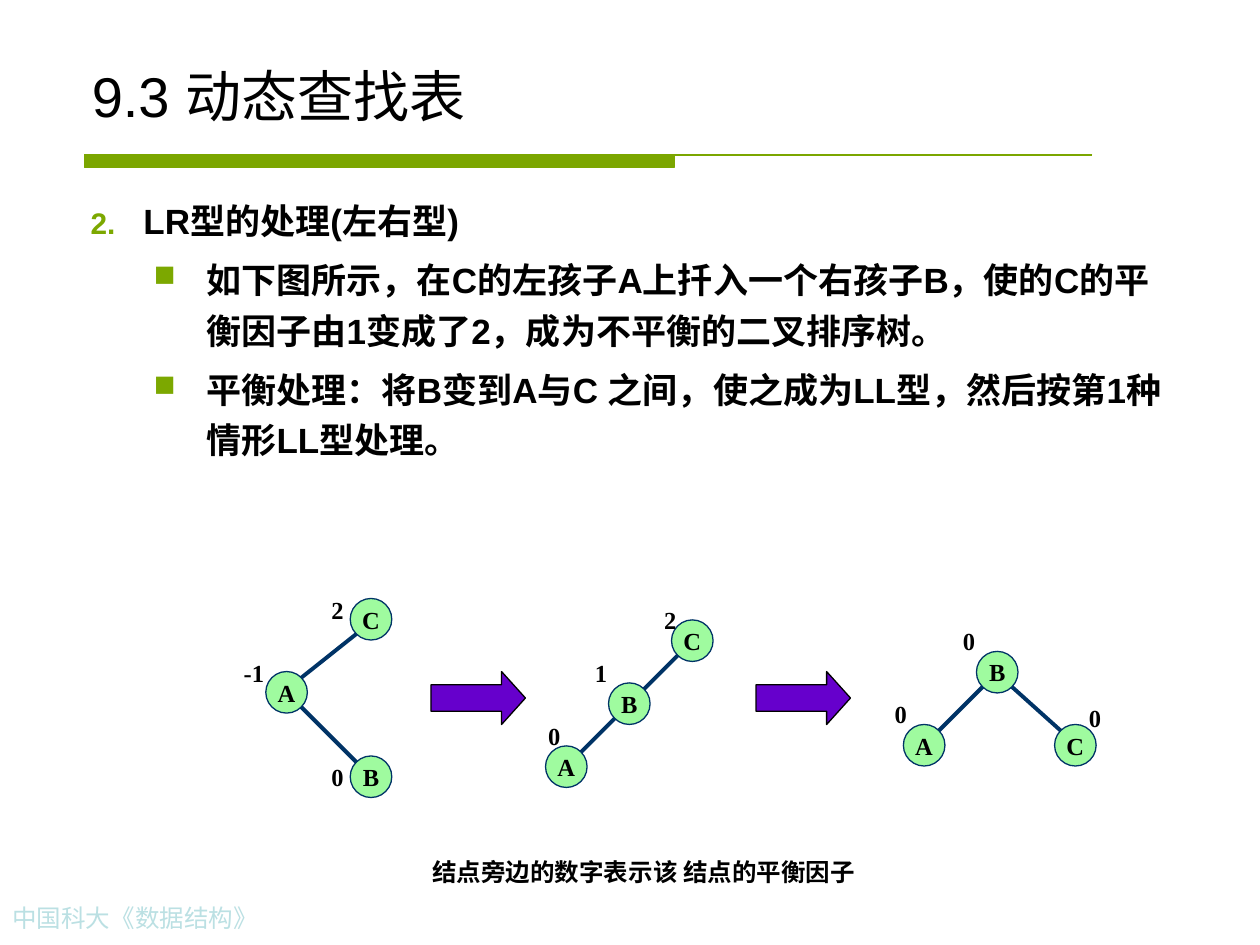
from lxml import etree
from pptx import Presentation
from pptx.dml.color import RGBColor
from pptx.enum.shapes import MSO_CONNECTOR, MSO_SHAPE
from pptx.enum.text import MSO_ANCHOR, MSO_AUTO_SIZE, PP_ALIGN
from pptx.oxml.ns import qn
from pptx.util import Inches, Pt

LEFT, CENTER = PP_ALIGN.LEFT, PP_ALIGN.CENTER
TOP, MIDDLE, BOTTOM = MSO_ANCHOR.TOP, MSO_ANCHOR.MIDDLE, MSO_ANCHOR.BOTTOM
GROW = MSO_AUTO_SIZE.SHAPE_TO_FIT_TEXT
OVAL, ARROW = MSO_SHAPE.OVAL, MSO_SHAPE.RIGHT_ARROW
STRAIGHT = MSO_CONNECTOR.STRAIGHT

BLACK, NAVY, MINT, PURPLE = "000000", "003366", "9FFB9F", "6600CC"
RULE_GREEN, BULLET_GREEN, PALE_BLUE = "7BA600", "7CA800", "BBE0E3"
SANS, SERIF = "Arial", "Times New Roman"
NODE_SIZE = 0.33
NODE_INSET = 0.05
DIGIT_BOX, SIGN_WIDTH, LABEL_HEIGHT = 0.3, 0.07, 0.34

BODY = [
    (0, "LR型的处理(左右型)"),
    (1, "如下图所示，在C的左孩子A上扦入一个右孩子B，使的C的平衡因子由1变成了2，成为不平衡的二叉排序树。"),
    (1, "平衡处理：将B变到A与C 之间，使之成为LL型，然后按第1种情形LL型处理。"),
]

# Each node: offset in its tree, balance factor, offset of the factor.
TREES = [
    ((1.83, 4.67),
     {"C": ((0.95, 0.08), "2", (0.7, 0)),
      "A": ((0.28, 0.66), "-1", (0, 0.5)),
      "B": ((0.95, 1.33), "0", (0.7, 1.33))},
     ["CA", "AB"]),
    ((4.25, 4.75),
     {"C": ((1.08, 0.17), "2", (0.92, 0)),
      "B": ((0.58, 0.67), "1", (0.37, 0.42)),
      "A": ((0.08, 1.17), "0", (0, 0.92))},
     ["CB", "BA"]),
    ((7, 4.92),
     {"B": ((0.75, 0.25), "0", (0.54, 0)),
      "A": ((0.17, 0.83), "0", (0, 0.58)),
      "C": ((1.37, 0.83), "0", (1.54, 0.61))},
     ["BA", "BC"]),
]


def rgb(value):
    """Turn a hex string into a colour."""
    return RGBColor.from_string(value)


def paint(shape, fill, line):
    """Give a shape a flat fill and a thin outline."""
    shape.shadow.inherit = False
    shape.fill.solid()
    shape.fill.fore_color.rgb = rgb(fill)
    shape.line.color.rgb = rgb(line)
    shape.line.width = Pt(0.75)


def add_run(paragraph, text, size, font, color=BLACK, bold=False):
    """Append one formatted run."""
    run = paragraph.add_run()
    run.text = text
    run.font.size = Pt(size)
    run.font.name = font
    run.font.bold = bold
    run.font.color.rgb = rgb(color)


def add_frame(slide, box, anchor=TOP, wrap=True):
    """Place a text box and return its text frame."""
    frame = slide.shapes.add_textbox(*map(Inches, box)).text_frame
    frame.word_wrap = wrap
    frame.vertical_anchor = anchor
    return frame


def add_label(slide, box, text, align=CENTER, color=BLACK, bold=True):
    """Place a single line of small serif text."""
    frame = add_frame(slide, box, wrap=False)
    frame.auto_size = GROW
    paragraph = frame.paragraphs[0]
    paragraph.alignment = align
    add_run(paragraph, text, 14, SERIF, color, bold)


def add_title(slide, box):
    """Place the section title."""
    paragraph = add_frame(slide, box, BOTTOM).paragraphs[0]
    add_run(paragraph, "9.3 动态查找表", 32, SANS)


def add_title_rule(slide, box):
    """Draw the thick bar that runs on as a thin line."""
    left, top, width, height = map(Inches, box)
    bar_right = left + Inches(4.68)
    builder = slide.shapes.build_freeform(left, top)
    builder.add_line_segments(
        [(bar_right, top), (bar_right, top + height), (left, top + height)], close=True)
    builder.move_to(left, top)
    builder.add_line_segments([(left + width, top)], close=False)
    paint(builder.convert_to_shape(), RULE_GREEN, RULE_GREEN)


def add_bullet(paragraph, level):
    """Number the top level and put squares on the next one."""
    props = paragraph._p.get_or_add_pPr()
    props.set("marL", str(Inches(0.42 + 0.5 * level)))
    props.set("indent", str(-Inches(0.42)))
    color = etree.SubElement(props, qn("a:buClr"))
    etree.SubElement(color, qn("a:srgbClr"), val=BULLET_GREEN)
    etree.SubElement(props, qn("a:buSzPct"), val="85000")
    if level:
        etree.SubElement(props, qn("a:buChar"), char="■")
    else:
        etree.SubElement(props, qn("a:buAutoNum"), type="arabicPeriod", startAt="2")


def add_body(slide, box):
    """Place the numbered heading and its points."""
    frame = add_frame(slide, box)
    for index, (level, text) in enumerate(BODY):
        paragraph = frame.add_paragraph() if index else frame.paragraphs[0]
        add_bullet(paragraph, level)
        paragraph.level = level
        paragraph.line_spacing = 1.2
        if index:
            paragraph.space_before = Pt(5)
        add_run(paragraph, text, 20, SANS, bold=True)


def add_node(slide, left, top, letter):
    """Draw one lettered tree node."""
    node = slide.shapes.add_shape(OVAL, *map(Inches, (left, top, NODE_SIZE, NODE_SIZE)))
    paint(node, MINT, NAVY)
    frame = node.text_frame
    frame.word_wrap = False
    frame.vertical_anchor = MIDDLE
    frame.paragraphs[0].alignment = CENTER
    add_run(frame.paragraphs[0], letter, 14, SERIF, bold=True)


def add_edge(slide, parent, child):
    """Join the lower side of a parent to the upper side of its child."""
    near, far = NODE_INSET, NODE_SIZE - NODE_INSET
    parent_dx, child_dx = (near, far) if child[0] < parent[0] else (far, near)
    ends = (parent[0] + parent_dx, parent[1] + far, child[0] + child_dx, child[1] + near)
    edge = slide.shapes.add_connector(STRAIGHT, *map(Inches, ends))
    edge.line.color.rgb = rgb(NAVY)
    edge.line.width = Pt(2.25)
    etree.SubElement(edge._element.spPr, qn("a:effectLst"))


def add_tree(slide, origin, nodes, edges):
    """Draw a tree with balance factors from its top-left corner."""
    left, top = origin
    places = {letter: (left + x, top + y) for letter, ((x, y), _, _) in nodes.items()}
    for letter, place in places.items():
        add_node(slide, *place, letter)
    for parent, child in edges:
        add_edge(slide, places[parent], places[child])
    for _, factor, (x, y) in nodes.values():
        width = DIGIT_BOX + SIGN_WIDTH * (len(factor) - 1)
        add_label(slide, (left + x, top + y, width, LABEL_HEIGHT), factor)


def add_step_arrow(slide, box):
    """Draw the arrow between two trees."""
    arrow = slide.shapes.add_shape(ARROW, *map(Inches, box))
    arrow.adjustments[0] = 0.5
    arrow.adjustments[1] = 0.45
    paint(arrow, PURPLE, BLACK)


def main():
    """Build the slide and save it."""
    deck = Presentation()
    deck.slide_width, deck.slide_height = Inches(10), Inches(7.5)
    slide = deck.slides.add_slide(deck.slide_layouts[6])
    add_title_rule(slide, (0.67, 1.23, 8, 0.1))
    add_label(slide, (0, 7.12, 3.11, 0.34), "中国科大《数据结构》", LEFT, PALE_BLUE, False)
    add_title(slide, (0.63, 0.33, 8.75, 0.74))
    add_body(slide, (0.62, 1.47, 8.75, 2.87))
    for tree in TREES:
        add_tree(slide, *tree)
    for left in (3.42, 6):
        add_step_arrow(slide, (left, 5.33, 0.75, 0.42))
    add_label(slide, (3.33, 6.75, 3.56, 0.34), "结点旁边的数字表示该 结点的平衡因子")
    deck.save("out.pptx")


if __name__ == "__main__":
    main()
